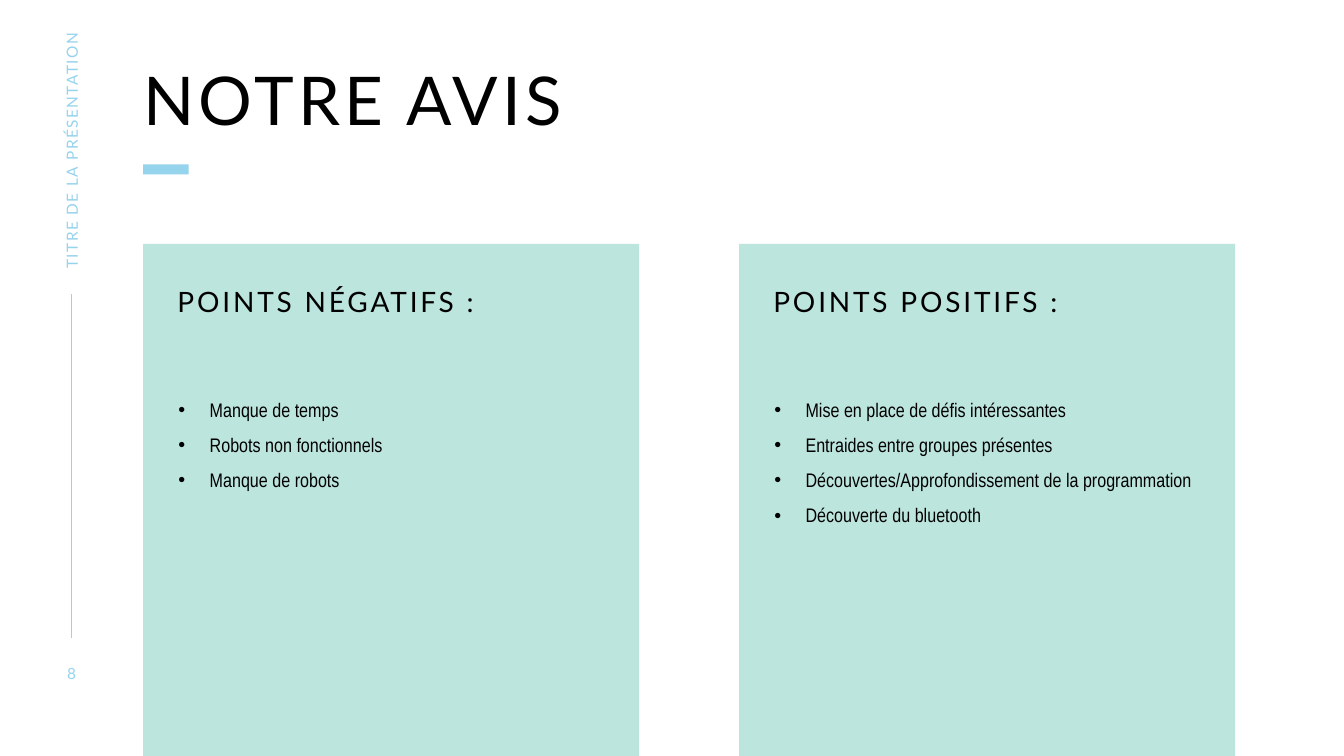
from lxml import etree
from pptx import Presentation
from pptx import util as u
from pptx.dml.color import RGBColor
from pptx.enum import shapes, text
from pptx.oxml.ns import qn

SKY, MINT, BLACK = "96D3ED", "BCE5DD", "000000"
HEADING, BODY = "Lato", "Arial Narrow"


def rgb(code):
    return RGBColor.from_string(code)


class SlideBuilder:
    def __init__(self, slide):
        self.slide = slide

    def box(self, left, top, width, height, fill):
        block = self.slide.shapes.add_shape(
            shapes.MSO_SHAPE.RECTANGLE,
            *map(u.Inches, (left, top, width, height)))
        block.shadow.inherit = False
        block.fill.solid()
        block.fill.fore_color.rgb = rgb(fill)
        block.line.fill.background()
        return block

    def text_box(self, left, top, width, height, rotation=0):
        label = self.slide.shapes.add_textbox(
            *map(u.Inches, (left, top, width, height)))
        label.rotation = rotation
        return label

    def frame(self, shape, insets=(0, 0, 0, 0), anchor=text.MSO_ANCHOR.TOP):
        """Prepare the text frame of a shape and return it."""
        frame = shape.text_frame
        frame.word_wrap = True
        frame.vertical_anchor = anchor
        (frame.margin_left, frame.margin_top,
         frame.margin_right, frame.margin_bottom) = map(u.Inches, insets)
        return frame

    def add_words(self, paragraph, words, size, color=BLACK, font=HEADING,
                  tracking=0, align=text.PP_ALIGN.LEFT, leading=None, before=0):
        """Fill a paragraph with one run; tracking and before are in points."""
        paragraph.alignment = align
        paragraph.space_before = u.Pt(before)
        if leading:
            paragraph.line_spacing = leading
        run = paragraph.add_run()
        run.text = words
        run.font.size = u.Pt(size)
        run.font.name = font
        run.font.color.rgb = rgb(color)
        if tracking:
            run.font._element.set("spc", str(tracking * 100))

    def bullets(self, frame, points):
        for index, point in enumerate(points):
            paragraph = frame.add_paragraph() if index else frame.paragraphs[0]
            self.add_words(paragraph, point, 14, font=BODY, leading=0.9, before=10)
            properties = paragraph._p.get_or_add_pPr()
            indent = u.Inches(0.31)
            properties.set("marL", str(indent))
            properties.set("indent", str(-indent))
            etree.SubElement(properties, qn("a:buFont")).set("typeface", "Arial")
            etree.SubElement(properties, qn("a:buChar")).set("char", "•")

    def line(self, start, end, color, width):
        rule = self.slide.shapes.add_connector(
            shapes.MSO_CONNECTOR.STRAIGHT, *map(u.Inches, start + end))
        rule.line.color.rgb = rgb(color)
        rule.line.width = u.Pt(width)
        etree.SubElement(rule._element.spPr, qn("a:effectLst"))

    def opinion_panel(self, left, heading, points):
        panel = self.box(left, 2.42, 4.92, 5.08, MINT)
        frame = self.frame(panel, (0.34, 0.4, 0.3, 0))
        self.add_words(frame.paragraphs[0], heading, 20, tracking=2,
                       leading=u.Pt(24), before=10)
        listing = self.text_box(left + 0.35, 3.97, 4.25, 2.75)
        self.bullets(self.frame(listing), points)


def main():
    deck = Presentation()
    deck.slide_width, deck.slide_height = u.Inches(13.33), u.Inches(7.5)
    builder = SlideBuilder(deck.slides.add_slide(deck.slide_layouts[6]))

    builder.box(1.42, 1.63, 0.45, 0.1, SKY)
    title = builder.frame(builder.text_box(1.42, 0.67, 8.97, 0.58))
    builder.add_words(title.paragraphs[0], "NOTRE AVIS", 48, tracking=3,
                      leading=0.9)

    middle = text.MSO_ANCHOR.MIDDLE
    side_title = builder.frame(
        builder.text_box(-0.5, 1.35, 2.42, 0.21, rotation=270), anchor=middle)
    builder.add_words(side_title.paragraphs[0], "TITRE DE LA PRÉSENTATION", 11,
                      SKY, tracking=1)
    page_number = builder.frame(
        builder.text_box(0.46, 6.58, 0.5, 0.2), anchor=middle)
    builder.add_words(page_number.paragraphs[0], "8", 11, SKY, tracking=2,
                      align=text.PP_ALIGN.CENTER)

    builder.opinion_panel(1.42, "POINTS NÉGATIFS :", [
        "Manque de temps",
        "Robots non fonctionnels",
        "Manque de robots",
    ])
    builder.opinion_panel(7.33, "POINTS POSITIFS :", [
        "Mise en place de défis intéressantes",
        "Entraides entre groupes présentes",
        "Découvertes/Approfondissement de la programmation",
        "Découverte du bluetooth",
    ])
    builder.line((0.71, 2.92), (0.71, 6.33), SKY, 1)

    deck.save("out.pptx")


if __name__ == "__main__":
    main()
